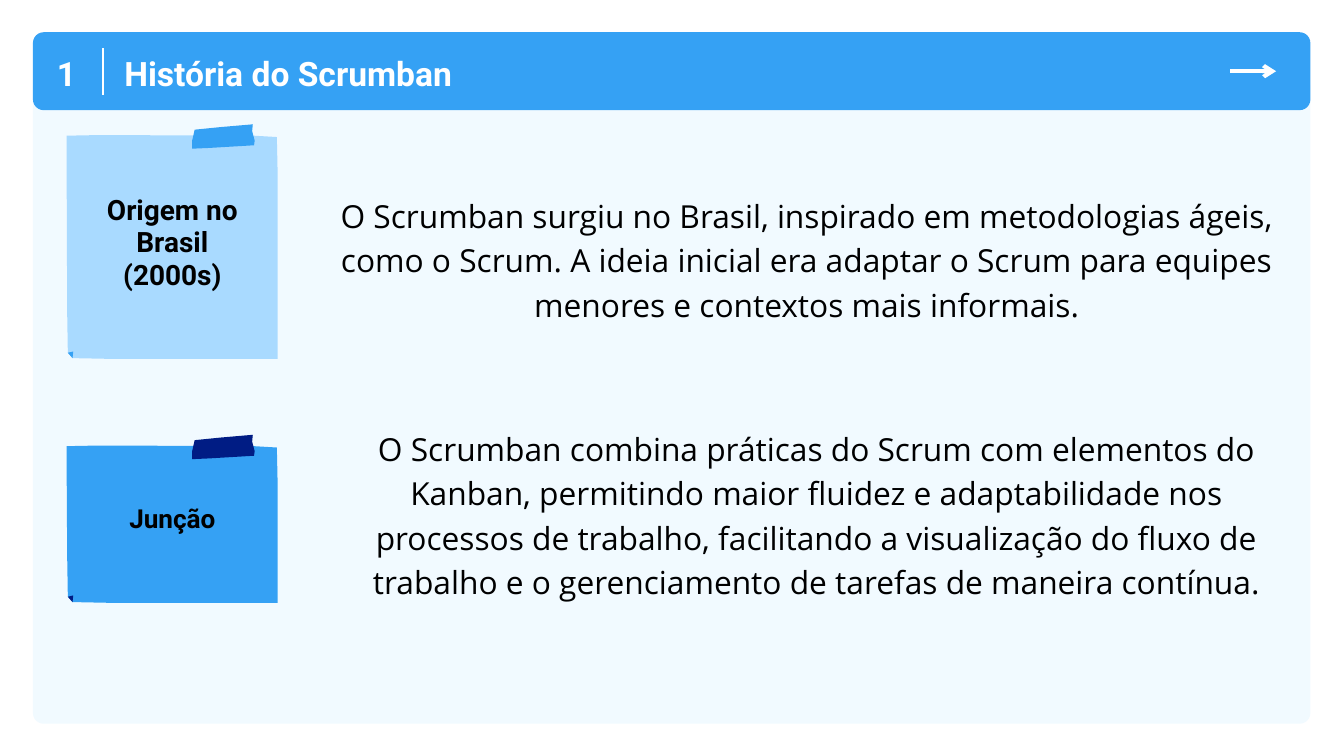
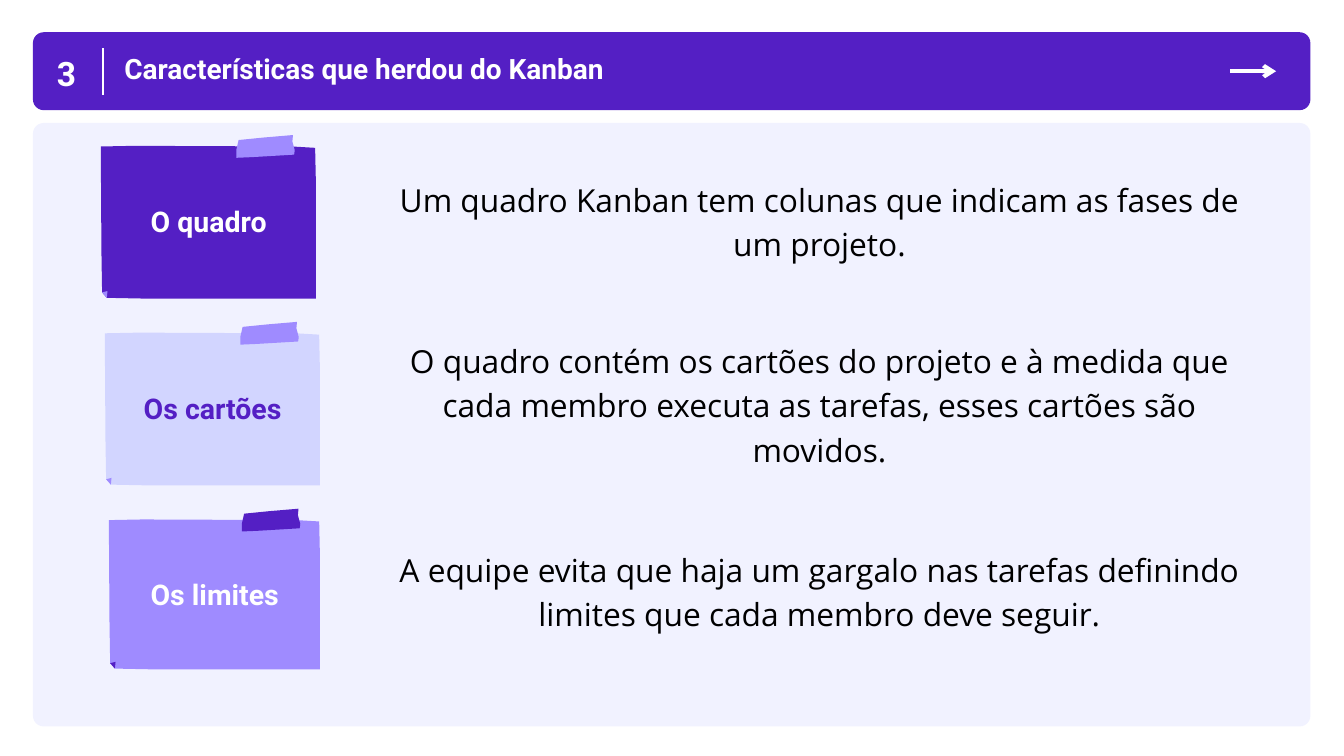
from dataclasses import dataclass

from lxml.etree import SubElement
from pptx import Presentation
from pptx.dml.color import RGBColor
from pptx.enum.shapes import MSO_CONNECTOR as Connector, MSO_SHAPE as Preset
from pptx.enum.text import MSO_ANCHOR as Anchor, MSO_AUTO_SIZE as AutoSize, PP_ALIGN as Align
from pptx.oxml.ns import qn
from pptx.util import Inches, Pt

COLUMNS, ROWS = 20, 11.25
TITLE_ONLY = 5
HEADER = (0.49, 0.48, 19.01, 1.16)
TAPE_OUTLINE = [(0.04, 0.22), (0.47, 0.11), (0.97, 0), (0.96, 0.28), (1, 0.67),
                (0.99, 0.86), (0.27, 0.97), (0, 1), (0, 0.67)]


@dataclass(frozen=True)
class Theme:
    """Colours, fonts and type sizes shared by the slides."""
    white: str = "FFFFFF"
    black: str = "000000"
    sky: str = "D2F0FF"
    light_blue: str = "A9DAFF"
    blue: str = "35A1F4"
    navy: str = "001C84"
    lavender: str = "D2D5FF"
    lilac: str = "9F8BFF"
    purple: str = "541FC4"
    heading_font: str = "Roboto"
    body_font: str = "Open Sans"
    heading_size: float = 36
    body_size: float = 34
    loose: float = 1.4
    tight: float = 1.16


class Deck:
    """Draws styled elements on the current slide, on a grid of columns and rows."""

    def __init__(self, theme):
        self.theme = theme
        self.presentation = Presentation()
        self.presentation.slide_width = Inches(COLUMNS)
        self.presentation.slide_height = Inches(ROWS)
        self.column = self.presentation.slide_width / COLUMNS
        self.row = self.presentation.slide_height / ROWS
        self.slide = None

    def add_slide(self):
        layout = self.presentation.slide_layouts[TITLE_ONLY]
        self.slide = self.presentation.slides.add_slide(layout)

    def place(self, *lengths):
        return [round(length * (self.row if index % 2 else self.column))
                for index, length in enumerate(lengths)]

    def paint(self, shape, color, opacity=None):
        shape.shadow.inherit = False
        shape.fill.solid()
        shape.fill.fore_color.rgb = RGBColor.from_string(color)
        shape.line.fill.background()
        if opacity is not None:
            color_element = shape.element.spPr.find(qn("a:solidFill"))[0]
            SubElement(color_element, qn("a:alpha"), val=str(opacity * 1000))

    def panel(self, box, color, opacity=None, radius=0.16):
        shape = self.slide.shapes.add_shape(Preset.ROUNDED_RECTANGLE, *self.place(*box))
        shape.adjustments[0] = radius / min(box[2:])
        self.paint(shape, color, opacity)

    def outline(self, contours, color):
        first, *others = [[tuple(self.place(*point)) for point in contour]
                          for contour in contours]
        builder = self.slide.shapes.build_freeform(*first[0])
        builder.add_line_segments(first[1:])
        for contour in others:
            builder.move_to(*contour[0])
            builder.add_line_segments(contour[1:])
        self.paint(builder.convert_to_shape(), color)

    def line(self, start, end, width, arrow=False):
        connector = self.slide.shapes.add_connector(
            Connector.STRAIGHT, *self.place(*start, *end))
        connector.line.width = Pt(width)
        connector.line.color.rgb = RGBColor.from_string(self.theme.white)
        properties = connector.element.spPr
        if arrow:
            SubElement(properties.find(qn("a:ln")), qn("a:tailEnd"),
                       type="arrow", w="med", len="med")
        SubElement(properties, qn("a:effectLst"))

    def set_text(self, shape, text, size, color, font, spacing, bold=True, align=Align.CENTER):
        frame = shape.text_frame
        frame.margin_left = frame.margin_right = frame.margin_top = frame.margin_bottom = 0
        frame.word_wrap = True
        frame.auto_size = AutoSize.NONE
        frame.vertical_anchor = Anchor.TOP
        frame.text = text
        for paragraph in frame.paragraphs:
            paragraph.alignment = align
            paragraph.line_spacing = Pt(round(size * spacing, 1))
            paragraph.space_before = Pt(0)
            paragraph.font.name = font
            paragraph.font.size = Pt(size)
            paragraph.font.bold = bold
            paragraph.font.color.rgb = RGBColor.from_string(color)

    def text_box(self, box, text, *style, **options):
        shape = self.slide.shapes.add_textbox(*self.place(*box))
        self.set_text(shape, text, *style, **options)

    def header(self, number, title, color, title_size):
        theme = self.theme
        self.panel(HEADER, color)
        self.line((18.31, 1.06), (18.99, 1.06), 4.3, arrow=True)
        self.line((1.53, 0.72), (1.53, 1.41), 2.2)
        self.text_box((0.78, 0.69, 0.42, 0.67), number, theme.heading_size,
                      theme.white, theme.heading_font, theme.loose)
        shape = self.slide.shapes.title
        shape.left, shape.top, shape.width, shape.height = self.place(1.85, 0.69, 11.15, 0.67)
        self.set_text(shape, title, title_size, theme.white, theme.heading_font,
                      theme.loose, align=Align.LEFT)
        shape.element.getparent().append(shape.element)

    def note(self, box, tape, color, tape_color, label, label_top, size, label_color):
        left, top, width, height = box
        right, bottom = left + width, top + height
        fold = [(left + 0.02, bottom - 0.09), (left + 0.09, bottom - 0.01)]
        self.outline([[(left, top + 0.01), (left + 0.01, bottom - 0.69), *fold,
                       (left + 0.6, bottom), (right, bottom), (right, top + 0.5),
                       (right - 0.01, top + 0.03), (right - 0.35, top + 0.01),
                       (left + 0.5, top), (left, top + 0.01)]], color)
        tape_left, tape_width = tape
        strip = [(left + tape_left + x * tape_width, top - 0.16 + y * tape_width * 0.39)
                 for x, y in TAPE_OUTLINE]
        corner = [*fold, (left + 0.1, bottom - 0.11)]
        self.outline([part + part[:1] for part in (corner, strip)], tape_color)
        lines = len(label.split("\n"))
        self.text_box((left + 0.42, label_top, width - 0.83, 0.5 * lines), label, size,
                      label_color, self.theme.heading_font, self.theme.tight)

    def body(self, box, text):
        theme = self.theme
        self.text_box(box, text, theme.body_size, theme.black, theme.body_font,
                      theme.loose, bold=False)


def history_slide(deck):
    theme = deck.theme
    deck.add_slide()
    deck.panel((0.49, 1.13, 19.01, 9.64), theme.sky, 30)
    deck.header("1", "História do Scrumban", theme.blue, theme.heading_size)
    tape = (1.87, 0.93)
    deck.note((0.99, 2.01, 3.14, 3.33), tape, theme.light_blue, theme.blue,
              "Origem no Brasil\n(2000s)", 2.88, 30, theme.black)
    deck.note((0.99, 6.63, 3.14, 2.34), tape, theme.blue, theme.navy,
              "Junção", 7.49, 28, theme.black)
    deck.body((4.8, 2.83, 14.41, 1.95),
              "O Scrumban surgiu no Brasil, inspirado em metodologias ágeis, como o Scrum. "
              "A ideia inicial era adaptar o Scrum para equipes menores e contextos mais "
              "informais.")
    deck.body((5.08, 6.3, 14.14, 2.6),
              "O Scrumban combina práticas do Scrum com elementos do Kanban, permitindo maior "
              "fluidez e adaptabilidade nos processos de trabalho, facilitando a visualização "
              "do fluxo de trabalho e o gerenciamento de tarefas de maneira contínua.")


def kanban_slide(deck):
    theme = deck.theme
    deck.add_slide()
    deck.panel((0.49, 1.83, 19.01, 8.98), theme.lavender, 30)
    deck.header("3", "Características que herdou do Kanban", theme.purple, 30)
    notes = [
        ("O quadro", 1.5, 3.2, theme.purple, theme.lilac, theme.white, 2.59,
         "Um quadro Kanban tem colunas que indicam as fases de um projeto."),
        ("Os cartões", 1.56, 3.2, theme.lavender, theme.lilac, theme.purple, 4.99,
         "O quadro contém os cartões do projeto e à medida que cada membro executa as "
         "tarefas, esses cartões são movidos."),
        ("Os limites", 1.62, 3.14, theme.lilac, theme.purple, theme.white, 8.1,
         "A equipe evita que haja um gargalo nas tarefas definindo limites que cada membro "
         "deve seguir."),
    ]
    for index, (label, left, width, color, tape_color, label_color, body_top,
                text) in enumerate(notes):
        top = 2.17 + index * 2.78
        deck.note((left, top, width, width * 0.71), (width * 0.63, 0.87), color, tape_color,
                  label, top + 0.88, 30.5, label_color)
        deck.body((5.74, body_top, 12.91, 1.95), text)


def main():
    deck = Deck(Theme())
    history_slide(deck)
    kanban_slide(deck)
    deck.presentation.save("out.pptx")


if __name__ == "__main__":
    main()
